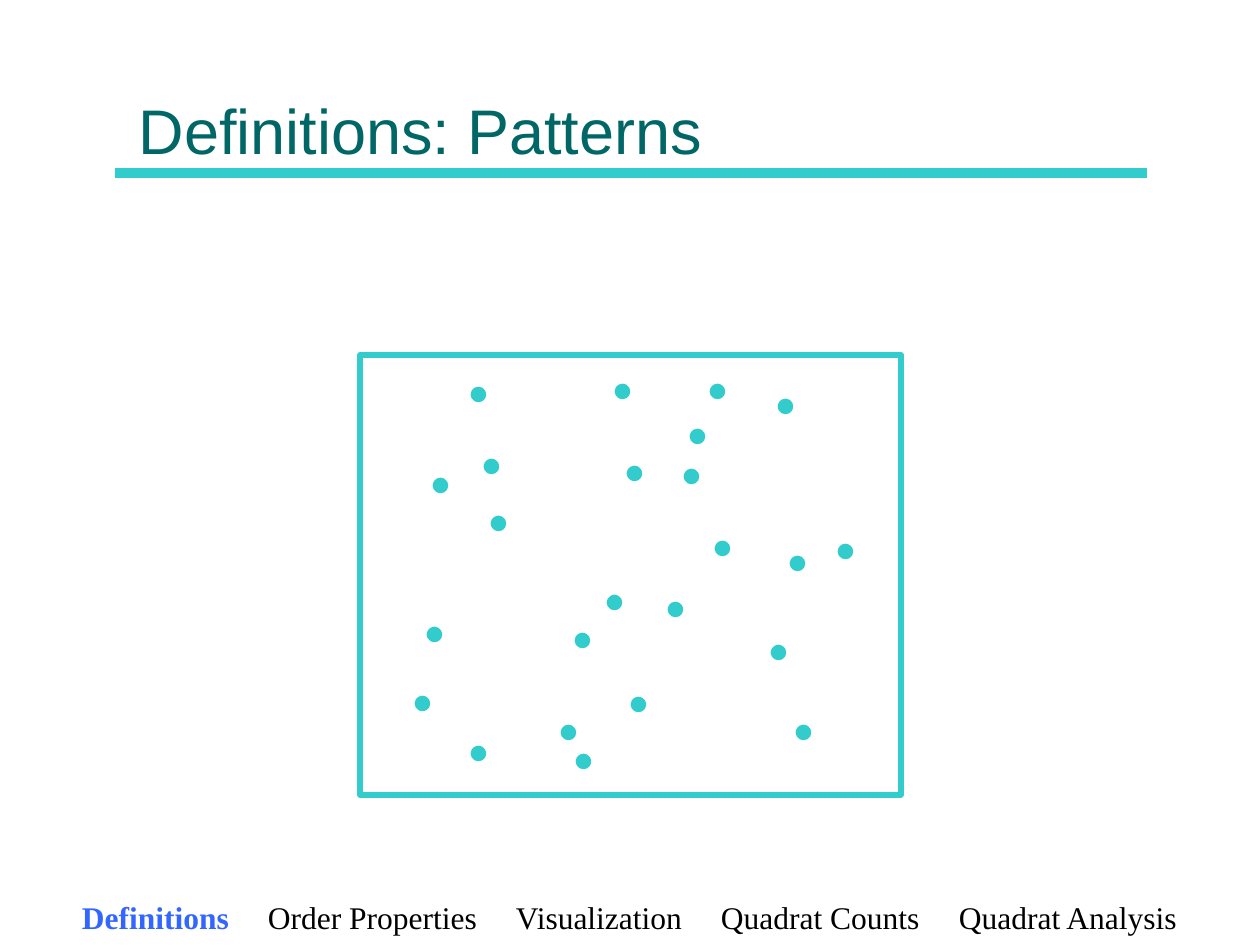
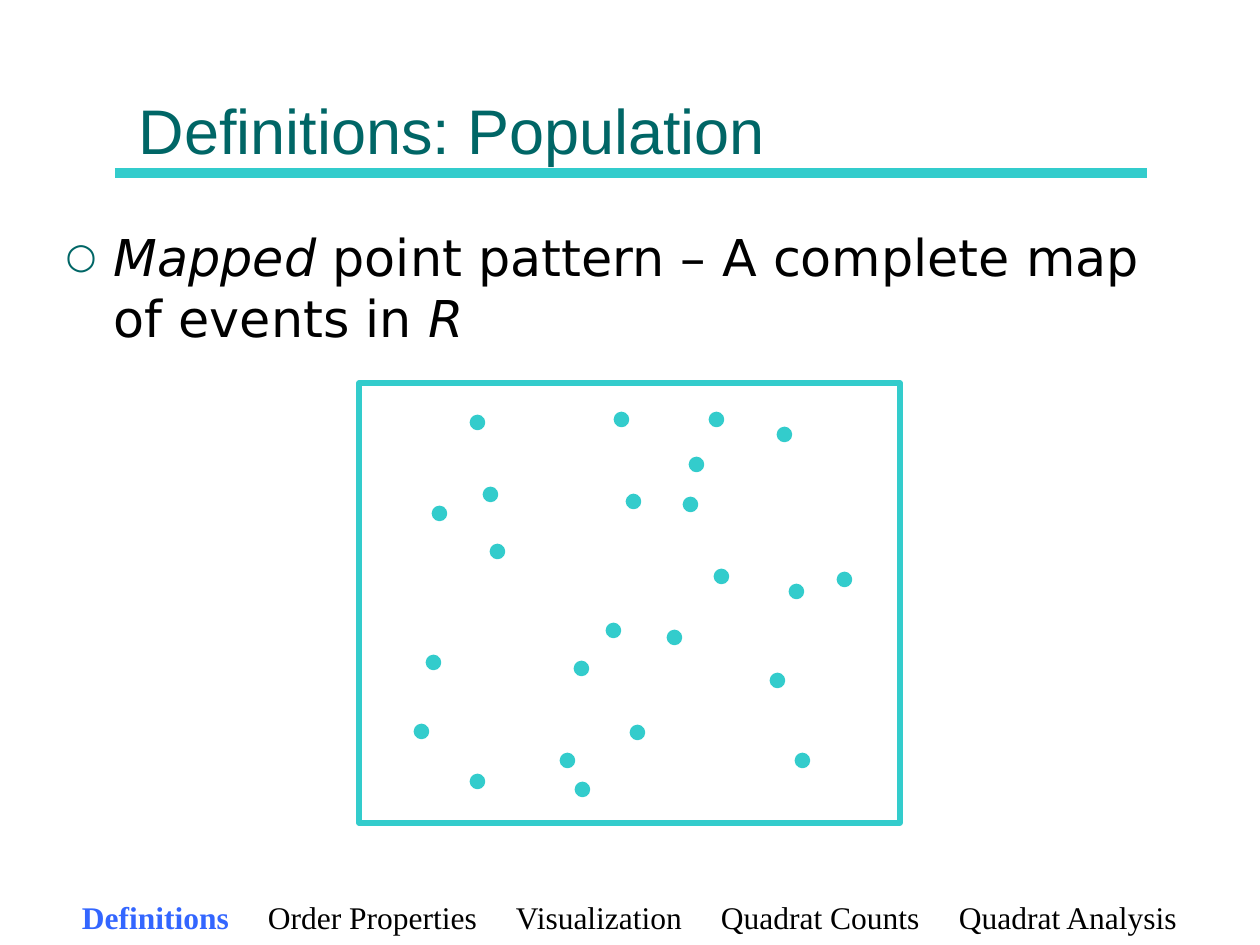
from lxml import etree
from pptx import Presentation
from pptx.dml.color import RGBColor
from pptx.enum.shapes import MSO_CONNECTOR, MSO_SHAPE
from pptx.enum.text import MSO_ANCHOR, MSO_AUTO_SIZE, PP_ALIGN
from pptx.oxml.ns import qn
from pptx.util import Emu, Pt

LINE = MSO_CONNECTOR.STRAIGHT
RECT, OVAL = MSO_SHAPE.RECTANGLE, MSO_SHAPE.OVAL
BOTTOM, TOP = MSO_ANCHOR.BOTTOM, MSO_ANCHOR.TOP
LEFT = PP_ALIGN.LEFT
FIXED = MSO_AUTO_SIZE.NONE

COLORS = {"teal": "33CCCC", "deep": "006666", "blue": "3366FF", "ink": "000000"}
TITLE = {"name": "Arial", "size": Pt(36)}
BODY = {"name": "DejaVu Sans", "size": Pt(29)}
NAV = {"name": "Times New Roman", "size": Pt(18)}

# Boxes in px: left, top, width, height
PAGE = (1260, 945)
HEAD = (126, 15, 1008, 158)
RULE = (115, 173, 1147, 173)
TEXT = (53, 215, 1150, 567)
FOOT = (50, 892, 1158, 53)
MAP = (541, 440)

TOPICS = ["Definitions", "Order Properties", "Visualization",
          "Quadrat Counts", "Quadrat Analysis"]
STOPS = [186, 434, 639, 877]

# Event centres in px from the corner of the map
DOT = 13
EVENTS = [(118, 39), (262, 36), (357, 36), (425, 51), (337, 81), (131, 111),
          (80, 130), (274, 118), (331, 121), (138, 168), (362, 193), (437, 208),
          (485, 196), (254, 247), (315, 254), (74, 279), (222, 285), (418, 297),
          (62, 348), (278, 349), (208, 377), (443, 377), (118, 398), (223, 406)]


def px(n):
    return Emu(round(n * 914400 / 126))


def tint(name):
    return RGBColor.from_string(COLORS[name])


def put(item, values):
    for key, value in values.items():
        setattr(item, key, value)


def place(shape, box):
    put(shape, dict(zip(("left", "top", "width", "height"), map(px, box))))


def write(para, text, style, color, **more):
    run = para.add_run()
    run.text = text
    put(run.font, {**style, **more})
    run.font.color.rgb = tint(color)


def add_tag(node, name, **attrs):
    return etree.SubElement(node, qn(name), attrs)


def add_rule(prs, slide):
    """Title rule, kept on the master."""
    rule = slide.shapes.add_connector(LINE, *map(px, RULE))
    rule.line.color.rgb = tint("teal")
    rule.line.width = Pt(6)
    add_tag(rule.element.spPr, "a:effectLst")
    prs.slide_master.shapes.element.append(rule.element)


def add_title(slide, text):
    title = slide.shapes.title
    place(title, HEAD)
    put(title.text_frame, {"vertical_anchor": BOTTOM, "auto_size": FIXED})
    para = title.text_frame.paragraphs[0]
    para.alignment = LEFT
    write(para, text, TITLE, "deep")


def add_body(slide, parts):
    """Bulleted text; each part is a pair of text and italic."""
    body = slide.placeholders[1]
    place(body, TEXT)
    put(body.text_frame, {"vertical_anchor": TOP, "auto_size": FIXED,
                          "margin_top": px(11)})
    para = body.text_frame.paragraphs[0]
    props = para._p.get_or_add_pPr()
    props.set("marL", str(px(48)))
    props.set("indent", str(px(-48)))
    add_tag(add_tag(props, "a:buClr"), "a:srgbClr", val=COLORS["deep"])
    add_tag(props, "a:buSzPct", val="70000")
    add_tag(props, "a:buFont", typeface=BODY["name"])
    add_tag(props, "a:buChar", char="○")
    put(para, {"alignment": LEFT, "space_before": Pt(0)})
    for text, slant in parts:
        write(para, text, BODY, "ink", italic=slant)


def add_shape(slide, kind, box, width):
    shape = slide.shapes.add_shape(kind, *map(px, box))
    shape.shadow.inherit = False
    shape.line.color.rgb = tint("teal")
    shape.line.width = Pt(width)
    return shape


def add_map(slide, left, top):
    """Framed region with its point events."""
    frame = add_shape(slide, RECT, (left, top, *MAP), 3)
    frame.fill.background()
    for x, y in EVENTS:
        box = (left + x - DOT // 2, top + y - DOT // 2, DOT, DOT)
        dot = add_shape(slide, OVAL, box, 1.5)
        dot.fill.solid()
        dot.fill.fore_color.rgb = tint("teal")


def add_nav(slide, active):
    """Topics along the foot, set on tab stops."""
    frame = slide.shapes.add_textbox(*map(px, FOOT)).text_frame
    put(frame, {"word_wrap": True, "margin_left": px(32)})
    para = frame.paragraphs[0]
    para.alignment = LEFT
    tabs = add_tag(para._p.get_or_add_pPr(), "a:tabLst")
    for stop in STOPS:
        add_tag(tabs, "a:tab", pos=str(px(stop)), algn="l")
    for i, topic in enumerate(TOPICS):
        on = topic == active
        write(para, "\t" * (i > 0) + topic, NAV, "blue" if on else "ink", bold=on)


def add_page(prs, layout, title, corner, parts=()):
    slide = prs.slides.add_slide(prs.slide_layouts[layout])
    add_title(slide, title)
    if parts:
        add_body(slide, parts)
    add_map(slide, *corner)
    add_nav(slide, "Definitions")
    return slide


def main():
    prs = Presentation()
    prs.slide_width, prs.slide_height = map(px, PAGE)
    first = add_page(prs, 5, "Definitions: Patterns", (360, 355))
    add_rule(prs, first)
    add_page(prs, 1, "Definitions: Population", (359, 383), [
        ("Mapped", True),
        (" point pattern – A complete map of events in ", False),
        ("R", True),
    ])
    prs.save("out.pptx")


if __name__ == "__main__":
    main()
